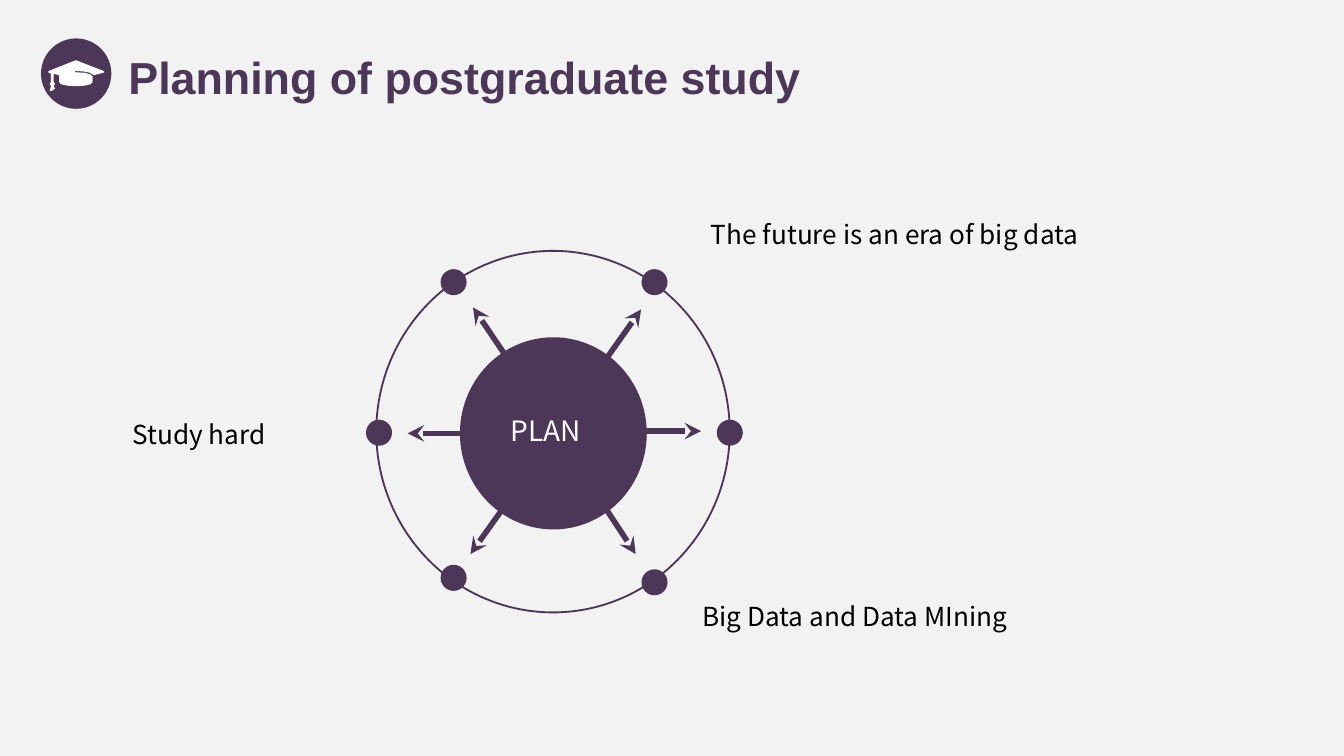
"""Build a slide showing a study plan as a hub with six arrows."""
import lxml.etree
import pptx
import pptx.dml.color
import pptx.enum.shapes
import pptx.enum.text
import pptx.oxml.ns
import pptx.util

THEME = {
    "paper": "F2F2F2", "plum": "4C3759", "white": "FFFFFF", "ink": "000000",
    "heading": "Arial", "body": "Noto Sans CJK SC",
    "title_size": 24, "hub_size": 15, "label_size": 14,
    "thin": 1, "thick": 3,
}
color = {name: pptx.dml.color.RGBColor.from_string(THEME[name])
         for name in ("paper", "plum", "white", "ink")}

deck = pptx.Presentation()
deck.slide_width = pptx.util.Inches(10)
deck.slide_height = deck.slide_width * 9 // 16
cell = deck.slide_width // 100
page = deck.slides.add_slide(deck.slide_layouts[6])
page.background.fill.solid()
page.background.fill.fore_color.rgb = color["paper"]


def add_text(text, left, top, width, height, size, font="body", ink="ink",
             bold=False, spacing=None, inset=(1, 0.5)):
    box = page.shapes.add_textbox(*[round(n * cell) for n in (left, top, width, height)])
    frame = box.text_frame
    frame.word_wrap = True
    frame.auto_size = pptx.enum.text.MSO_AUTO_SIZE.SHAPE_TO_FIT_TEXT
    frame.margin_left = frame.margin_right = round(inset[0] * cell)
    frame.margin_top = frame.margin_bottom = round(inset[1] * cell)
    para = frame.paragraphs[0]
    para.line_spacing = spacing
    span = para.add_run()
    span.text = text
    span.font.name = THEME[font]
    span.font.size = pptx.util.Pt(THEME[size])
    span.font.bold = bold
    span.font.color.rgb = color[ink]


def add_ellipse(center, width, height, filled=True, outlined=True):
    left, top = center[0] - width / 2, center[1] - height / 2
    ellipse = page.shapes.add_shape(
        pptx.enum.shapes.MSO_SHAPE.OVAL,
        *[round(n * cell) for n in (left, top, width, height)])
    ellipse.shadow.inherit = False
    if filled:
        ellipse.fill.solid()
        ellipse.fill.fore_color.rgb = color["plum"]
    else:
        ellipse.fill.background()
    if outlined:
        ellipse.line.color.rgb = color["plum"]
        ellipse.line.width = pptx.util.Pt(THEME["thin"])
    else:
        ellipse.line.fill.background()


add_ellipse((41.15, 32.12), 26.3, 26.9, filled=False)

dots = [(48.7, 21), (33.75, 21), (28.2, 32.2), (54.3, 32.2), (48.7, 43.33), (33.75, 43)]
for dot in dots:
    add_ellipse(dot, 1.8, 1.8)

arrows = [
    ((41.3, 32.1), (47.7, 23.03)), ((41.2, 32.08), (52.17, 32.08)),
    ((41.3, 31.9), (35.2, 22.88)), ((41.2, 32.25), (30.33, 32.25)),
    ((41.3, 32.4), (35, 41.23)), ((41.5, 32.4), (47.3, 41.23)),
]
for start, end in arrows:
    arrow = page.shapes.add_connector(
        pptx.enum.shapes.MSO_CONNECTOR.STRAIGHT,
        *[round(n * cell) for n in start + end])
    arrow.line.color.rgb = color["plum"]
    arrow.line.width = pptx.util.Pt(THEME["thick"])
    line = arrow._element.spPr.find(pptx.oxml.ns.qn("a:ln"))
    tip = lxml.etree.SubElement(line, pptx.oxml.ns.qn("a:tailEnd"))
    tip.set("type", "stealth")
    lxml.etree.SubElement(arrow._element.spPr, pptx.oxml.ns.qn("a:effectLst"))

add_ellipse((41.17, 32.25), 13.9, 14.3, outlined=False)
add_text("PLAN", 37, 30.3, 8.3, 3.5, "hub_size", ink="white")

add_ellipse((5.67, 5.48), 5.1, 5.1)
cap = [
    (3.6, 5.3), (5.6, 4.5), (5.7, 4.5), (7.75, 5.3), (7.75, 5.4), (7, 5.6),
    (6.7, 5.42), (6.2, 5.32), (5.6, 5.28), (5.6, 5.38), (6.3, 5.42), (6.75, 5.55),
    (6.9, 5.7), (6.9, 6.1), (6.75, 6.27), (6.3, 6.38), (5.65, 6.42), (5, 6.38),
    (4.55, 6.27), (4.4, 6.1), (4.4, 5.6), (4, 5.5), (4, 6.1), (4.1, 6.25),
    (4, 6.4), (4.1, 6.6), (3.95, 6.72), (3.7, 6.8), (3.8, 6.4), (3.7, 6.25),
    (3.8, 6.1), (3.8, 5.5), (3.6, 5.4),
]
corners = [(round(x * cell), round(y * cell)) for x, y in cap]
outline = page.shapes.build_freeform(*corners[0])
outline.add_line_segments(corners[1:], close=True)
mortarboard = outline.convert_to_shape()
mortarboard.shadow.inherit = False
mortarboard.fill.solid()
mortarboard.fill.fore_color.rgb = color["white"]
mortarboard.line.fill.background()

add_text("Planning of postgraduate study", 8.57, 3.2, 60.2, 5, "title_size",
         font="heading", ink="plum", bold=True)

labels = [
    ("The future is an era of big data", 52.2, 14.65, 39.3),
    ("Big Data and Data MIning", 51.55, 43.1, 39.3),
    ("Study hard", 9.15, 29.6, 14.1),
]
for text, left, top, width in labels:
    add_text(text, left, top, width, 4.3, "label_size", spacing=1.5, inset=(0.7, 0.4))

deck.save("out.pptx")
